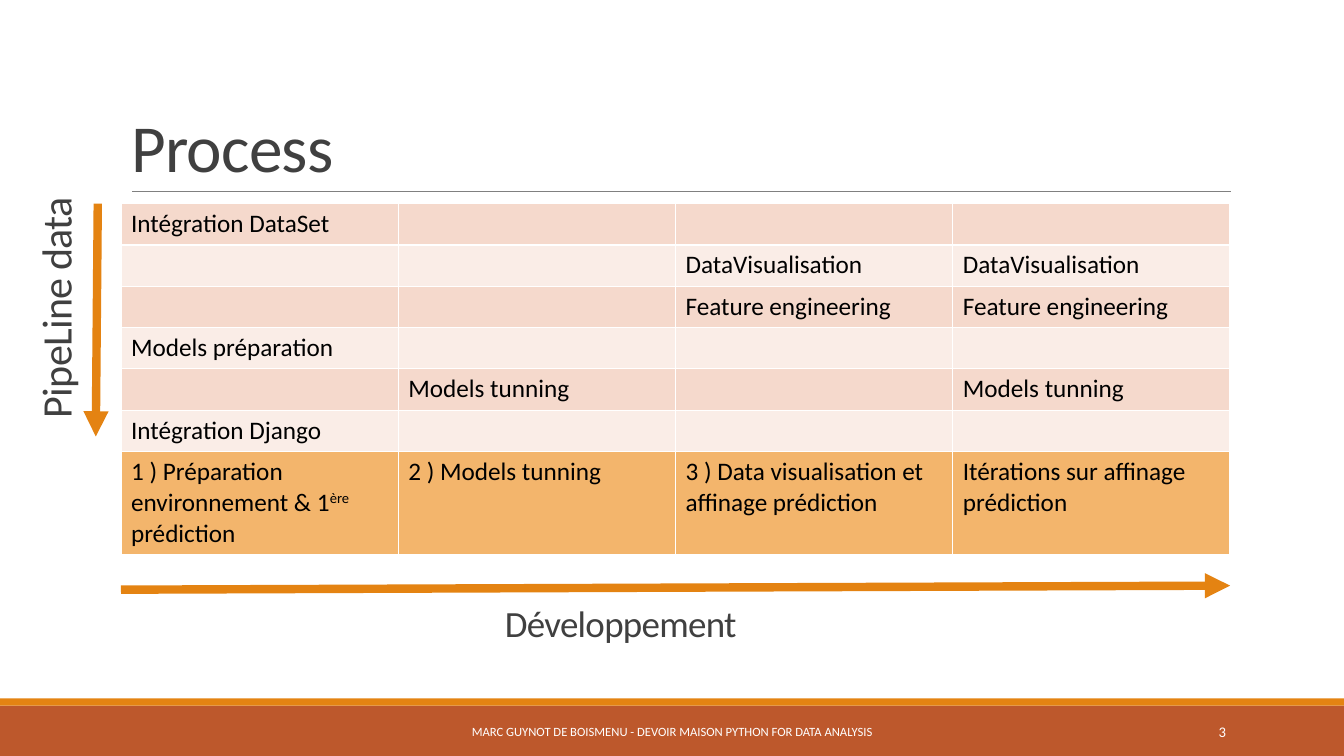
"""Build the Process slide: a pipeline table framed by two arrows."""
from lxml import etree
from pptx import Presentation
from pptx.dml.color import RGBColor
from pptx.enum.shapes import MSO_CONNECTOR, MSO_SHAPE
from pptx.enum.text import MSO_ANCHOR, MSO_AUTO_SIZE, PP_ALIGN
from pptx.oxml.ns import qn
from pptx.util import Pt

STRAIGHT = MSO_CONNECTOR.STRAIGHT
RECTANGLE = MSO_SHAPE.RECTANGLE
LEFT, CENTER, RIGHT = PP_ALIGN.LEFT, PP_ALIGN.CENTER, PP_ALIGN.RIGHT
MIDDLE, BOTTOM = MSO_ANCHOR.MIDDLE, MSO_ANCHOR.BOTTOM
NO_FIT = MSO_AUTO_SIZE.NONE
TITLE_ONLY = 5
EMU_PER_PX = 9144
FONT = "Calibri"
COLORS = {
    "text": "404040",
    "cell_text": "000000",
    "white": "FFFFFF",
    "rule": "808080",
    "accent": "E48312",
    "footer": "BD582C",
    "band_dark": "F5D9CC",
    "band_light": "FAEDE7",
    "phase": "F3B56C",
}
STEPS = [
    ["Intégration DataSet", "", "", ""],
    ["", "", "DataVisualisation", "DataVisualisation"],
    ["", "", "Feature engineering", "Feature engineering"],
    ["Models préparation", "", "", ""],
    ["", "Models tunning", "", "Models tunning"],
    ["Intégration Django", "", "", ""],
]
PHASES = [
    "1 ) Préparation environnement & 1^ère^ prédiction",
    "2 ) Models tunning",
    "3 ) Data visualisation et affinage prédiction",
    "Itérations sur affinage prédiction",
]
COL_WIDTH, STEP_HEIGHT, PHASE_HEIGHT = 275, 41, 102


def px(*lengths):
    """Turn px lengths into a list of EMU."""
    return [n * EMU_PER_PX for n in lengths]


def rgb(name):
    """Look up a named colour."""
    return RGBColor.from_string(COLORS[name])


def write(tf, text, size, color, align=LEFT, line_spacing=None, spacing=None):
    """Write one paragraph; parts between carets are superscript."""
    p = tf.paragraphs[0]
    p.alignment = align
    p.line_spacing = line_spacing
    p.font.name = FONT
    p.font.size = Pt(size)
    p.font.color.rgb = rgb(color)
    for i, part in enumerate(text.split("^")):
        r = p.add_run()
        r.text = part
        if spacing:
            r._r.get_or_add_rPr().set("spc", str(spacing))
        if i % 2:
            r._r.get_or_add_rPr().set("baseline", "30000")


def set_frame(tf, anchor):
    """Wrap a text frame at a fixed size."""
    tf.word_wrap = True
    tf.auto_size = NO_FIT
    tf.vertical_anchor = anchor


def add_title(s, text, box):
    """Move and fill the title placeholder."""
    sp = s.shapes.title
    sp.left, sp.top, sp.width, sp.height = px(*box)
    set_frame(sp.text_frame, BOTTOM)
    write(sp.text_frame, text, 48, "text", line_spacing=0.85, spacing=-50)


def add_label(s, text, box, size, color="text", align=LEFT, anchor=MIDDLE, **style):
    """Add a text box and return it."""
    sp = s.shapes.add_textbox(*px(*box))
    set_frame(sp.text_frame, anchor)
    write(sp.text_frame, text, size, color, align, **style)
    return sp


def add_bar(s, box, color):
    """Add a plain filled rectangle."""
    sp = s.shapes.add_shape(RECTANGLE, *px(*box))
    sp.shadow.inherit = False
    sp.fill.solid()
    sp.fill.fore_color.rgb = rgb(color)
    sp.line.fill.background()


def add_line(s, ends, color, width, arrow=False):
    """Add a straight line, with an arrowhead at its end if asked."""
    line = s.shapes.add_connector(STRAIGHT, *px(*ends))
    line.line.color.rgb = rgb(color)
    line.line.width = Pt(width)
    if arrow:
        etree.SubElement(line.line._get_or_add_ln(), qn("a:tailEnd"), type="triangle")
    etree.SubElement(line._element.spPr, qn("a:effectLst"))


def set_borders(cell, color):
    """Draw one-point borders around a cell."""
    tcPr = cell._tc.get_or_add_tcPr()
    for i, side in enumerate(("a:lnL", "a:lnR", "a:lnT", "a:lnB")):
        ln = etree.Element(qn(side), w=str(Pt(1)))
        fill = etree.SubElement(ln, qn("a:solidFill"))
        etree.SubElement(fill, qn("a:srgbClr"), val=COLORS[color])
        tcPr.insert(i, ln)


def add_process_table(s, left, top):
    """Add the banded steps and the closing row of phases."""
    rows = STEPS + [PHASES]
    heights = [STEP_HEIGHT] * len(STEPS) + [PHASE_HEIGHT]
    box = px(left, top, COL_WIDTH * len(PHASES), sum(heights))
    table = s.shapes.add_table(len(rows), len(PHASES), *box).table
    table.first_row = table.horz_banding = False
    for row, height in zip(table.rows, px(*heights)):
        row.height = height
    for i, texts in enumerate(rows):
        band = "band_light" if i % 2 else "band_dark"
        for j, text in enumerate(texts):
            cell = table.cell(i, j)
            cell.fill.solid()
            cell.fill.fore_color.rgb = rgb("phase" if texts is PHASES else band)
            set_borders(cell, "white")
            if text:
                write(cell.text_frame, text, 18, "cell_text")


def main():
    """Build and save the slide."""
    prs = Presentation()
    prs.slide_width, prs.slide_height = px(1333, 750)
    s = prs.slides.add_slide(prs.slide_layouts[TITLE_ONLY])

    add_bar(s, (0, 700, 1333, 50), "footer")
    add_bar(s, (0, 693, 1333, 7), "accent")
    add_line(s, (131, 190, 1221, 190), "rule", 0.5)
    add_title(s, "Process", (120, 31, 1100, 159))
    add_process_table(s, 120, 202)

    add_line(s, (97, 202, 95, 433), "accent", 6, arrow=True)
    add_line(s, (120, 585, 1220, 581), "accent", 6, arrow=True)
    axis = {"anchor": BOTTOM, "line_spacing": 0.65, "spacing": -50}
    pipeline = add_label(s, "PipeLine data", (-73, 269, 266, 45), 30, **axis)
    pipeline.rotation = 270
    add_label(s, "Développement", (491, 598, 266, 45), 26.4, **axis)

    footer = "MARC GUYNOT DE BOISMENU - DEVOIR MAISON PYTHON FOR DATA ANALYSIS"
    add_label(s, footer, (403, 706, 527, 40), 9, "white", CENTER)
    add_label(s, "3", (1083, 706, 143, 40), 10.5, "white", RIGHT)
    prs.save("out.pptx")


if __name__ == "__main__":
    main()
